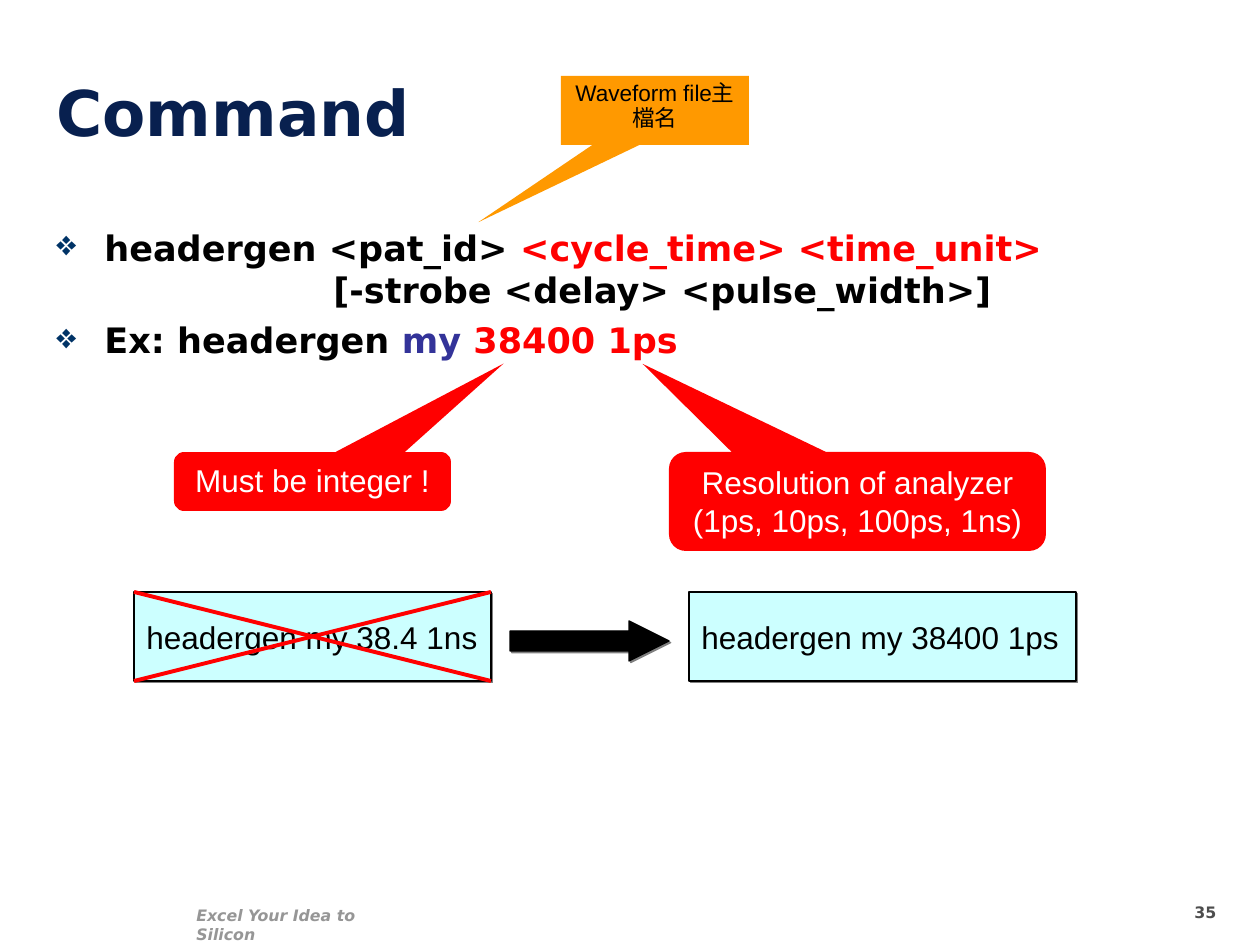
from pptx import Presentation
from pptx.dml.color import RGBColor
from pptx.enum.shapes import MSO_CONNECTOR as LINE, MSO_SHAPE as SHAPE
from pptx.enum.text import MSO_ANCHOR as ANCHOR, PP_ALIGN as ALIGN
from pptx.oxml.ns import qn
from pptx.util import Emu, Pt
from lxml.etree import SubElement

SCALE = 914400 / 126
COLORS = {
    "navy": "08204F", "bullet": "003366", "indigo": "333399", "red": "FF0000",
    "orange": "FF9900", "cyan": "CCFFFF", "black": "000000", "white": "FFFFFF",
    "shadow": "808080", "footer": "969696", "number": "4D4D4D",
}


def px(*lengths):
    return [Emu(round(length * SCALE)) for length in lengths]


def style(runs, font, size, color, bold=False, italic=False):
    for run in runs:
        run.font.name = font
        run.font.size = Pt(size)
        run.font.bold = bold
        run.font.italic = italic
        run.font.color.rgb = RGBColor.from_string(COLORS[color])


prs = Presentation()
prs.slide_width, prs.slide_height = px(1260, 945)
slide = prs.slides.add_slide(prs.slide_layouts[6])
shapes = slide.shapes

for text, box, size, color, italic, anchor in [
    ("Excel Your Idea to Silicon", (184, 900, 212, 32), 9, "footer", True, ANCHOR.TOP),
    ("35", (1182, 897, 73, 34), 9, "number", False, ANCHOR.TOP),
    ("Command", (44, 35, 903, 120), 36, "navy", False, ANCHOR.BOTTOM),
]:
    frame = shapes.add_textbox(*px(*box)).text_frame
    frame.word_wrap = True
    frame.vertical_anchor = anchor
    frame.text = text
    style(frame.paragraphs[0].runs, "DejaVu Sans", size, color, True, italic)

body = shapes.add_textbox(*px(44, 220, 1171, 624)).text_frame
body.word_wrap = True
hanging, option_tab = px(48, 277)
commands = [
    [("headergen <pat_id> ", "black"), ("<cycle_time> <time_unit>", "red"),
     None, ("\t[-strobe <delay> <pulse_width>]", "black")],
    [("Ex: headergen ", "black"), ("my ", "indigo"), ("38400 1ps", "red")],
]
for index, command in enumerate(commands):
    paragraph = body.add_paragraph() if index else body.paragraphs[0]
    props = paragraph._p.get_or_add_pPr()
    props.set("marL", str(hanging))
    props.set("indent", str(-hanging))
    bullet_color = SubElement(props, qn("a:buClr"))
    SubElement(bullet_color, qn("a:srgbClr"), val=COLORS["bullet"])
    SubElement(props, qn("a:buChar"), char="❖")
    tabs = SubElement(props, qn("a:tabLst"))
    SubElement(tabs, qn("a:tab"), pos=str(option_tab), algn="l")
    if index:
        paragraph.space_before = Pt(5)
    for part in command:
        if part is None:
            paragraph.add_line_break()
            continue
        run = paragraph.add_run()
        run.text, color = part
        style([run], "DejaVu Sans", 20, color, True)

for kind, box, fill, text, adjustments in [
    (SHAPE.RECTANGLE, (134, 592, 357, 89), "cyan", "headergen my 38.4 1ns", []),
    (SHAPE.RIGHT_ARROW, (510, 621, 159, 40), "black", "", [0.5, 1]),
    (SHAPE.RECTANGLE, (689, 592, 387, 89), "cyan", "headergen my 38400 1ps", []),
]:
    step = shapes.add_shape(kind, *px(*box))
    for index, value in enumerate(adjustments):
        step.adjustments[index] = value
    step.fill.solid()
    step.fill.fore_color.rgb = RGBColor.from_string(COLORS[fill])
    step.line.color.rgb = RGBColor.from_string(COLORS["black"])
    step.line.width = Pt(0.75)
    step.shadow.inherit = False
    effects = step._element.spPr.find(qn("a:effectLst"))
    shadow = SubElement(effects, qn("a:outerShdw"), dist=str(Pt(1.4)),
                        dir="2700000", algn="ctr", rotWithShape="0")
    SubElement(shadow, qn("a:srgbClr"), val=COLORS["shadow"])
    if text:
        frame = step.text_frame
        frame.word_wrap = False
        frame.vertical_anchor = ANCHOR.MIDDLE
        frame.text = text
        frame.paragraphs[0].alignment = ALIGN.LEFT
        style(frame.paragraphs[0].runs, "Arial", 18, "black")

for start, end in [(592, 681), (681, 592)]:
    cross = shapes.add_connector(LINE.STRAIGHT, *px(134, start, 491, end))
    cross.line.color.rgb = RGBColor.from_string(COLORS["red"])
    cross.line.width = Pt(2.25)
    SubElement(cross._element.spPr, qn("a:effectLst"))

ROUNDED, SQUARE = SHAPE.ROUNDED_RECTANGULAR_CALLOUT, SHAPE.RECTANGULAR_CALLOUT
for kind, box, adjustments, fill, text, size, color, spacing in [
    (ROUNDED, (174, 452, 277, 59), [0.69, -2, 0.17], "red",
     "Must be integer !", 18, "white", 1),
    (ROUNDED, (669, 452, 377, 99), [-0.57, -1.39, 0.17], "red",
     "Resolution of analyzer\v(1ps, 10ps, 100ps, 1ns)", 18, "white", 1),
    (SQUARE, (561, 76, 188, 69), [-0.94, 1.62], "orange",
     "Waveform file主檔名", 12.9, "black", 0.9),
]:
    callout = shapes.add_shape(kind, *px(*box))
    for index, value in enumerate(adjustments):
        callout.adjustments[index] = value
    callout.fill.solid()
    callout.fill.fore_color.rgb = RGBColor.from_string(COLORS[fill])
    callout.line.fill.background()
    callout.shadow.inherit = False
    frame = callout.text_frame
    frame.word_wrap = True
    frame.vertical_anchor = ANCHOR.TOP
    frame.text = text
    paragraph = frame.paragraphs[0]
    paragraph.alignment = ALIGN.CENTER
    paragraph.line_spacing = spacing
    style(paragraph.runs, "Arial", size, color)

prs.save("out.pptx")
